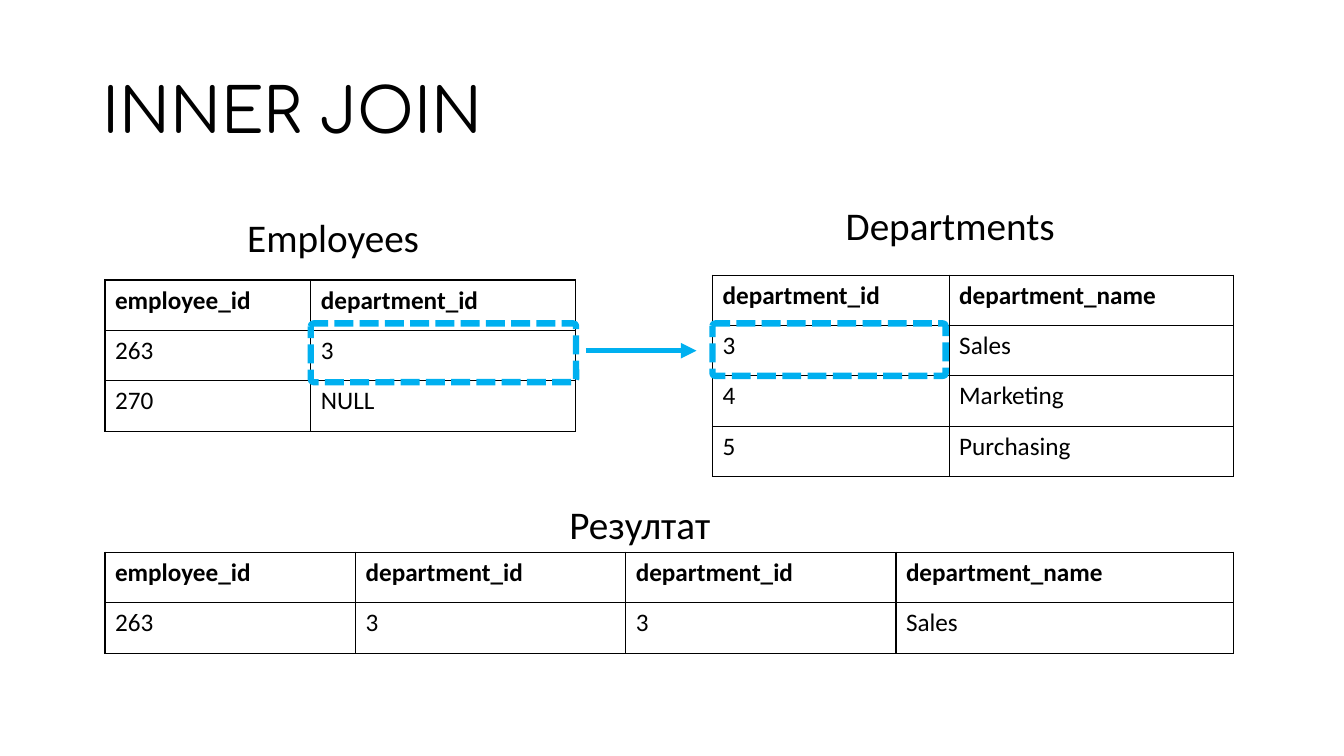
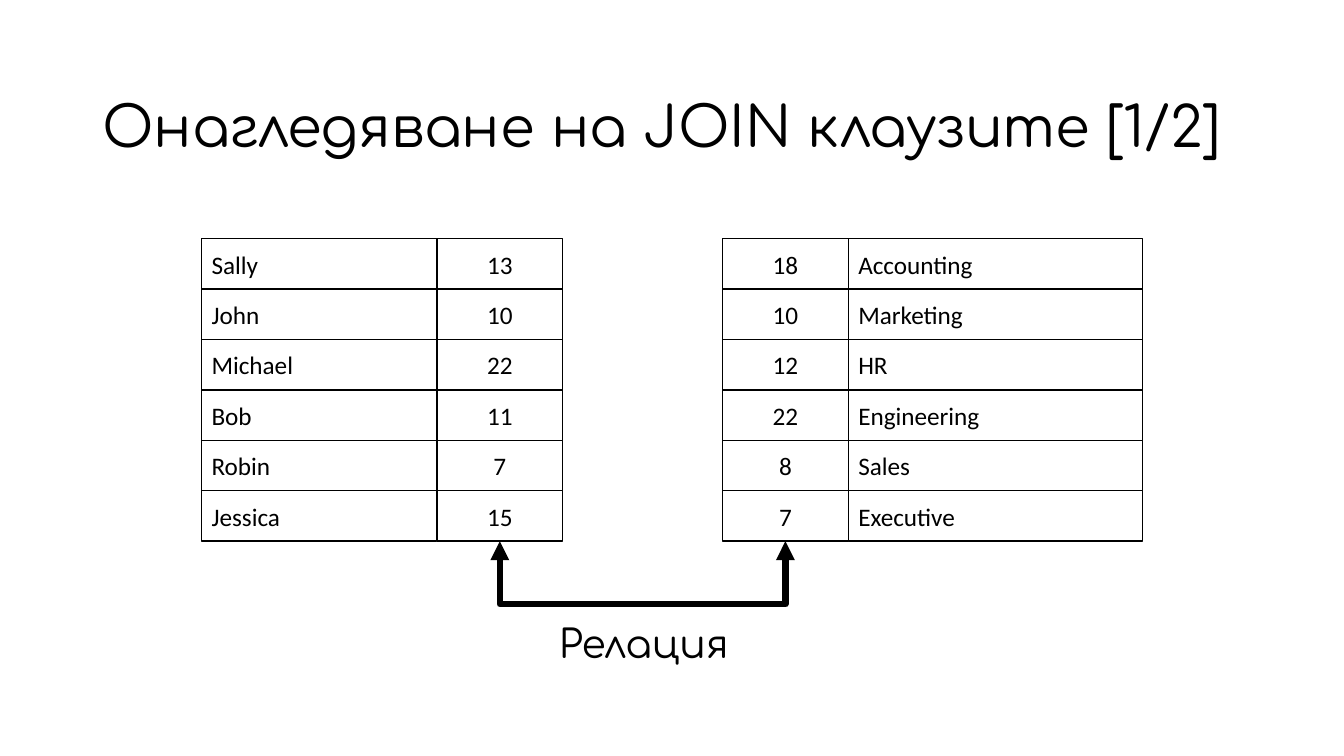
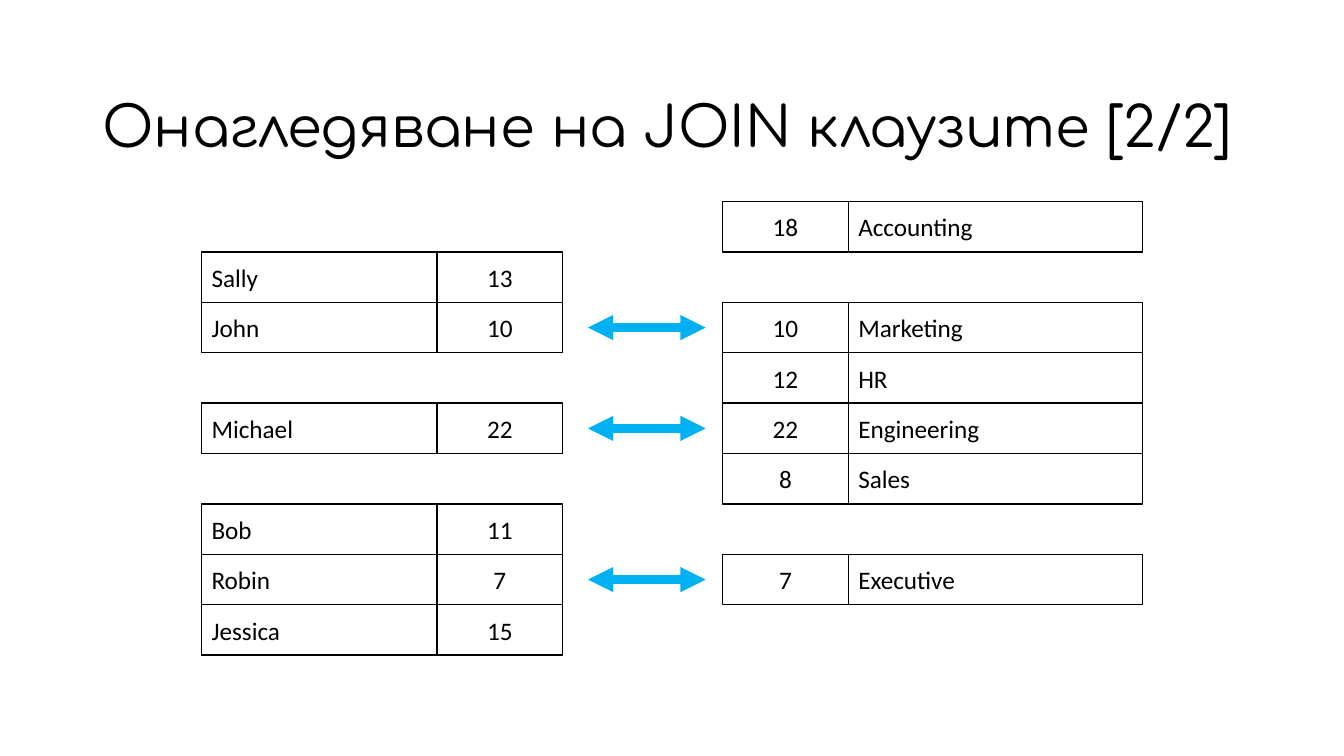
from lxml.etree import SubElement
from pptx import Presentation
from pptx.dml.color import RGBColor
from pptx.enum.dml import MSO_LINE
from pptx.enum.shapes import MSO_CONNECTOR, MSO_SHAPE
from pptx.enum.text import MSO_ANCHOR, MSO_AUTO_SIZE, PP_ALIGN
from pptx.oxml.ns import qn
from pptx.util import Pt

BLACK = RGBColor(0x00, 0x00, 0x00)
BLUE = RGBColor(0x00, 0xB0, 0xF0)
TITLE_FONT = "Comfortaa"
TEXT_FONT = "Calibri"
TITLE_ONLY_LAYOUT = 5

ROW_HEIGHT = 36
NAME_LEFT, NAME_WIDTH = 144, 168
EMPLOYEE_KEY_LEFT, DEPARTMENT_KEY_LEFT, KEY_WIDTH = 312, 516, 90
DEPARTMENT_LEFT, DEPARTMENT_WIDTH = 606, 210

EMPLOYEES = [("Sally", "13"), ("John", "10"), ("Michael", "22"),
             ("Bob", "11"), ("Robin", "7"), ("Jessica", "15")]
DEPARTMENTS = [("18", "Accounting"), ("10", "Marketing"), ("12", "HR"),
               ("22", "Engineering"), ("8", "Sales"), ("7", "Executive")]


def format_paragraph(paragraph, size, name=TEXT_FONT, bold=False):
    """Set the font of a whole paragraph."""
    font = paragraph.font
    font.size, font.name, font.bold = Pt(size), name, bold
    font.color.rgb = BLACK


def add_titled_slide(presentation, text, top, size, width=828):
    """Add a slide with a left-aligned title."""
    slide = presentation.slides.add_slide(presentation.slide_layouts[TITLE_ONLY_LAYOUT])
    title = slide.shapes.title
    title.left, title.top, title.width, title.height = Pt(66), Pt(top), Pt(width), Pt(104.4)
    frame = title.text_frame
    frame.text = text
    frame.auto_size = MSO_AUTO_SIZE.NONE
    frame.vertical_anchor = MSO_ANCHOR.MIDDLE
    paragraph = frame.paragraphs[0]
    paragraph.alignment = PP_ALIGN.LEFT
    paragraph.line_spacing = 0.9
    format_paragraph(paragraph, size, TITLE_FONT)
    return slide


def add_label(slide, text, left, top, width, name=TEXT_FONT):
    """Add a one-line caption."""
    frame = slide.shapes.add_textbox(Pt(left), Pt(top), Pt(width), Pt(41)).text_frame
    frame.text = text
    frame.word_wrap = False
    frame.auto_size = MSO_AUTO_SIZE.SHAPE_TO_FIT_TEXT
    paragraph = frame.paragraphs[0]
    paragraph.alignment = PP_ALIGN.CENTER
    format_paragraph(paragraph, 28, name)


def set_borders(cell):
    """Draw a thin black line on all four sides of a table cell."""
    properties = cell._tc.get_or_add_tcPr()
    for index, side in enumerate(("a:lnL", "a:lnR", "a:lnT", "a:lnB")):
        line = SubElement(properties, qn(side), w=str(Pt(1)))
        fill = SubElement(line, qn("a:solidFill"))
        SubElement(fill, qn("a:srgbClr"), val=str(BLACK))
        properties.insert(index, line)


def add_data_table(slide, left, top, widths, rows):
    """Add a bordered table whose first row is bold."""
    table = slide.shapes.add_table(len(rows), len(widths), Pt(left), Pt(top),
                                   Pt(sum(widths)), Pt(ROW_HEIGHT * len(rows))).table
    table.first_row = table.horz_banding = False
    for column, width in zip(table.columns, widths):
        column.width = Pt(width)
    for row_index, row in enumerate(rows):
        for column_index, text in enumerate(row):
            cell = table.cell(row_index, column_index)
            cell.text = text
            cell.fill.background()
            set_borders(cell)
            format_paragraph(cell.text_frame.paragraphs[0], 18, bold=row_index == 0)


def outline(shape, color, width):
    """Leave a shape without fill or shadow and colour its line."""
    shape.shadow.inherit = False
    shape.fill.background()
    shape.line.color.rgb = color
    shape.line.width = Pt(width)


def add_highlight(slide, left, width, height):
    """Add a dashed frame around a matching cell."""
    frame = slide.shapes.add_shape(MSO_SHAPE.ROUNDED_RECTANGLE,
                                   Pt(left), Pt(231), Pt(width), Pt(height))
    frame.adjustments[0] = 0.05
    outline(frame, BLUE, 4.5)
    frame.line.dash_style = MSO_LINE.SQUARE_DOT


def add_box(slide, text, left, top, width, alignment):
    """Add one outlined box of a data row."""
    box = slide.shapes.add_shape(MSO_SHAPE.RECTANGLE,
                                 Pt(left), Pt(top), Pt(width), Pt(ROW_HEIGHT))
    outline(box, BLACK, 1)
    frame = box.text_frame
    frame.text = text
    frame.vertical_anchor = MSO_ANCHOR.MIDDLE
    paragraph = frame.paragraphs[0]
    paragraph.alignment = alignment
    format_paragraph(paragraph, 18)


def add_rows(slide, top, employee_slots, department_slots):
    """Add employee and department rows at the given grid slots."""
    for slot, (name, key) in zip(employee_slots, EMPLOYEES):
        row_top = top + slot * ROW_HEIGHT
        add_box(slide, name, NAME_LEFT, row_top, NAME_WIDTH, PP_ALIGN.LEFT)
        add_box(slide, key, EMPLOYEE_KEY_LEFT, row_top, KEY_WIDTH, PP_ALIGN.CENTER)
    for slot, (key, department) in zip(department_slots, DEPARTMENTS):
        row_top = top + slot * ROW_HEIGHT
        add_box(slide, key, DEPARTMENT_KEY_LEFT, row_top, KEY_WIDTH, PP_ALIGN.CENTER)
        add_box(slide, department, DEPARTMENT_LEFT, row_top, DEPARTMENT_WIDTH, PP_ALIGN.LEFT)


def add_arrowheads(shape, ends):
    """Put triangles on the named ends of a line."""
    for end in ends:
        SubElement(shape.line._get_or_add_ln(), qn(end), type="triangle")


def add_arrow(slide, left, right, y, width, ends):
    """Add a horizontal blue arrow."""
    arrow = slide.shapes.add_connector(MSO_CONNECTOR.STRAIGHT,
                                       Pt(left), Pt(y), Pt(right), Pt(y))
    arrow.line.color.rgb = BLUE
    arrow.line.width = Pt(width)
    add_arrowheads(arrow, ends)
    SubElement(arrow._element.spPr, qn("a:effectLst"))


def add_relation(slide, top, depth):
    """Join the two key columns from below with a bent double arrow."""
    left = Pt(EMPLOYEE_KEY_LEFT + KEY_WIDTH / 2)
    right = Pt(DEPARTMENT_KEY_LEFT + KEY_WIDTH / 2)
    bottom = Pt(top + depth)
    builder = slide.shapes.build_freeform(left, Pt(top))
    builder.add_line_segments([(left, bottom), (right, bottom), (right, Pt(top))], close=False)
    relation = builder.convert_to_shape()
    outline(relation, BLACK, 4.5)
    add_arrowheads(relation, ("a:headEnd", "a:tailEnd"))


def build_inner_join(presentation):
    """Build the slide with two source tables and their join."""
    slide = add_titled_slide(presentation, "INNER JOIN", 28.8, 44)
    add_data_table(slide, 75, 200, (147, 189),
                   [("employee_id", "department_id"), ("263", "3"), ("270", "NULL")])
    add_data_table(slide, 509, 196.5, (169, 203),
                   [("department_id", "department_name"), ("3", "Sales"),
                    ("4", "Marketing"), ("5", "Purchasing")])
    add_data_table(slide, 75, 394.5, (179, 193, 193, 241),
                   [("employee_id", "department_id", "department_id", "department_name"),
                    ("263", "3", "3", "Sales")])
    add_label(slide, "Employees", 169, 149, 138)
    add_label(slide, "Departments", 596, 140.5, 165.5)
    add_label(slide, "Резултат", 399, 353.5, 116)
    add_arrow(slide, 418.5, 497.5, 250.5, 3.75, ("a:tailEnd",))
    add_highlight(slide, 222, 189.5, 42)
    add_highlight(slide, 509, 166.5, 37.5)


def build_relation(presentation):
    """Build the slide that shows the related columns."""
    slide = add_titled_slide(presentation, "Онагледяване на JOIN клаузите [1/2]", 40.3, 40)
    top = 170.6
    add_rows(slide, top, range(6), range(6))
    add_relation(slide, top + 6 * ROW_HEIGHT, 45)
    add_label(slide, "Релация", 389.5, 439, 140.5, TITLE_FONT)


def build_matches(presentation):
    """Build the slide that pairs the matching rows."""
    slide = add_titled_slide(presentation, "Онагледяване на JOIN клаузите [2/2]", 40.3, 40, 848)
    top = 144
    add_rows(slide, top, (1, 2, 4, 6, 7, 8), (0, 2, 3, 4, 5, 7))
    for slot in (2, 4, 7):
        add_arrow(slide, 420, 504, top + (slot + 0.5) * ROW_HEIGHT, 6,
                  ("a:headEnd", "a:tailEnd"))


def main():
    """Build and save the presentation."""
    presentation = Presentation()
    presentation.slide_width, presentation.slide_height = Pt(960), Pt(540)
    build_inner_join(presentation)
    build_relation(presentation)
    build_matches(presentation)
    presentation.save("out.pptx")


main()
